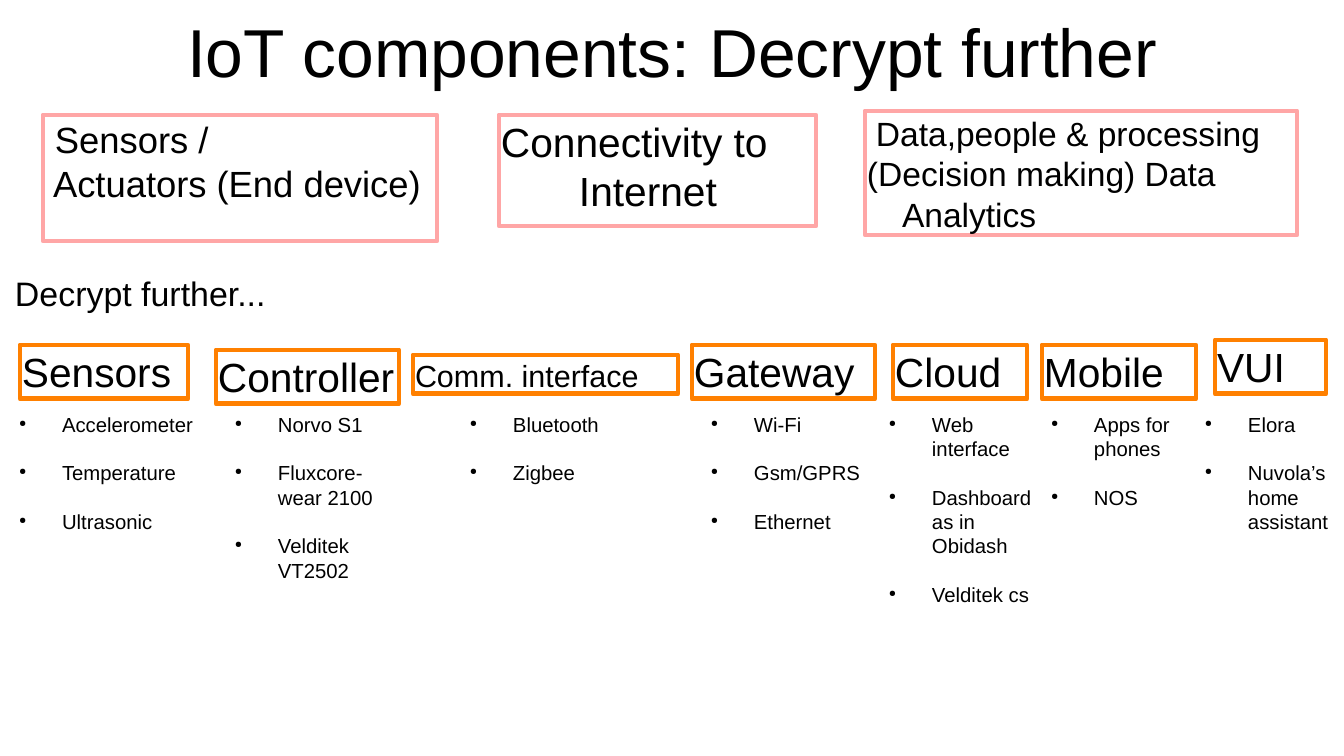
from lxml import etree
from pptx import Presentation
from pptx.dml.color import RGBColor
from pptx.enum.shapes import MSO_SHAPE
from pptx.enum.text import MSO_ANCHOR, PP_ALIGN
from pptx.oxml.ns import qn
from pptx.util import Pt

PX = 914400 // 122
RECT = MSO_SHAPE.RECTANGLE
TOP, MIDDLE = MSO_ANCHOR.TOP, MSO_ANCHOR.MIDDLE
LEFT, CENTER = PP_ALIGN.LEFT, PP_ALIGN.CENTER
COLORS = {"text": "000000", "block": "FFA6A6", "component": "FF8000"}

prs = Presentation()
prs.slide_width, prs.slide_height = 1344 * PX, 756 * PX
s = prs.slides.add_slide(prs.slide_layouts[6])


def write(sp, lines, size, inset=0, anchor=TOP, align=LEFT):
    """Fill a shape with (text, left margin, first-line indent) paragraphs."""
    tf = sp.text_frame
    tf.word_wrap = True
    tf.vertical_anchor = anchor
    tf.margin_left = tf.margin_right = inset * PX
    tf.margin_top = tf.margin_bottom = inset * PX
    tf.text = "\n".join(text for text, margin, indent in lines)
    for p, (text, margin, indent) in zip(tf.paragraphs, lines):
        p.alignment = align
        pPr = p._p.get_or_add_pPr()
        pPr.set("marL", str(margin * PX))
        pPr.set("indent", str(indent * PX))
        for r in p.runs:
            r.font.name = "Arial"
            r.font.size = Pt(size)
            r.font.color.rgb = RGBColor.from_string(COLORS["text"])


def add_frame(box, color, lines, size):
    """Draw an unfilled rectangle with a coloured, round-joined outline."""
    sp = s.shapes.add_shape(RECT, *(v * PX for v in box))
    sp.shadow.inherit = False
    sp.fill.background()
    sp.line.color.rgb = RGBColor.from_string(COLORS[color])
    sp.line.width = Pt(2.83)
    etree.SubElement(sp.line._get_or_add_ln(), qn("a:round"))
    write(sp, lines, size, inset=2)


title = s.shapes.add_textbox(67 * PX, -13 * PX, 1210 * PX, 126 * PX)
write(title, [("IoT components: Decrypt further", 0, 0)], 40, anchor=MIDDLE, align=CENTER)

# Main building blocks
blocks = [
    ((43, 115, 394, 126), 21.5,
     [("Sensors /", 10, 0), ("Actuators (End device)", 8, 0)]),
    ((499, 115, 317, 111), 24,
     [("Connectivity to", 0, 0), ("Internet", 78, 0)]),
    ((865, 111, 432, 124), 19.8,
     [("Data,people & processing", 9, 0), ("(Decision making) Data", 0, 0),
      ("Analytics", 35, 0)]),
]
for box, size, lines in blocks:
    add_frame(box, "block", lines, size)

subtitle = s.shapes.add_textbox(15 * PX, 273 * PX, 337 * PX, 54 * PX)
write(subtitle, [("Decrypt further...", 0, 0)], 20)

# Components: heading, heading box, size, list left, list width, items
components = [
    ("Sensors", (20, 345, 168, 54), 24, 5, 196,
     ["Accelerometer", "Temperature", "Ultrasonic"]),
    ("Controller", (216, 350, 183, 54), 24, 221, 173,
     ["Norvo S1", "Fluxcore-wear 2100", "Velditek VT2502"]),
    ("Comm. interface", (413, 355, 265, 39), 18, 456, 173,
     ["Bluetooth", "Zigbee"]),
    ("Gateway", (692, 345, 183, 54), 24, 697, 173,
     ["Wi-Fi", "Gsm/GPRS", "Ethernet"]),
    ("Cloud", (893, 345, 134, 54), 24, 875, 173,
     ["Web interface", "Dashboard as in Obidash", "Velditek cs"]),
    ("Mobile", (1042, 345, 154, 54), 24, 1037, 173,
     ["Apps for phones", "NOS"]),
    ("VUI", (1215, 340, 111, 54), 24, 1191, 173,
     ["Elora", "Nuvola’s home assistant"]),
]
for heading, box, size, left, width, items in components:
    add_frame(box, "component", [(heading, 0, 0)], size)
    bullets = s.shapes.add_textbox(left * PX, 412 * PX, width * PX, 299 * PX)
    write(bullets, [(item, 57, -43) for item in items], 12)
    for i, p in enumerate(bullets.text_frame.paragraphs):
        pPr = p._p.get_or_add_pPr()
        color = etree.SubElement(pPr, qn("a:buClr"))
        etree.SubElement(color, qn("a:srgbClr"), val=COLORS["text"])
        etree.SubElement(pPr, qn("a:buSzPct"), val="45000")
        etree.SubElement(pPr, qn("a:buChar"), char="●")
        if i:
            p.space_before = Pt(14.2)

prs.save("out.pptx")
